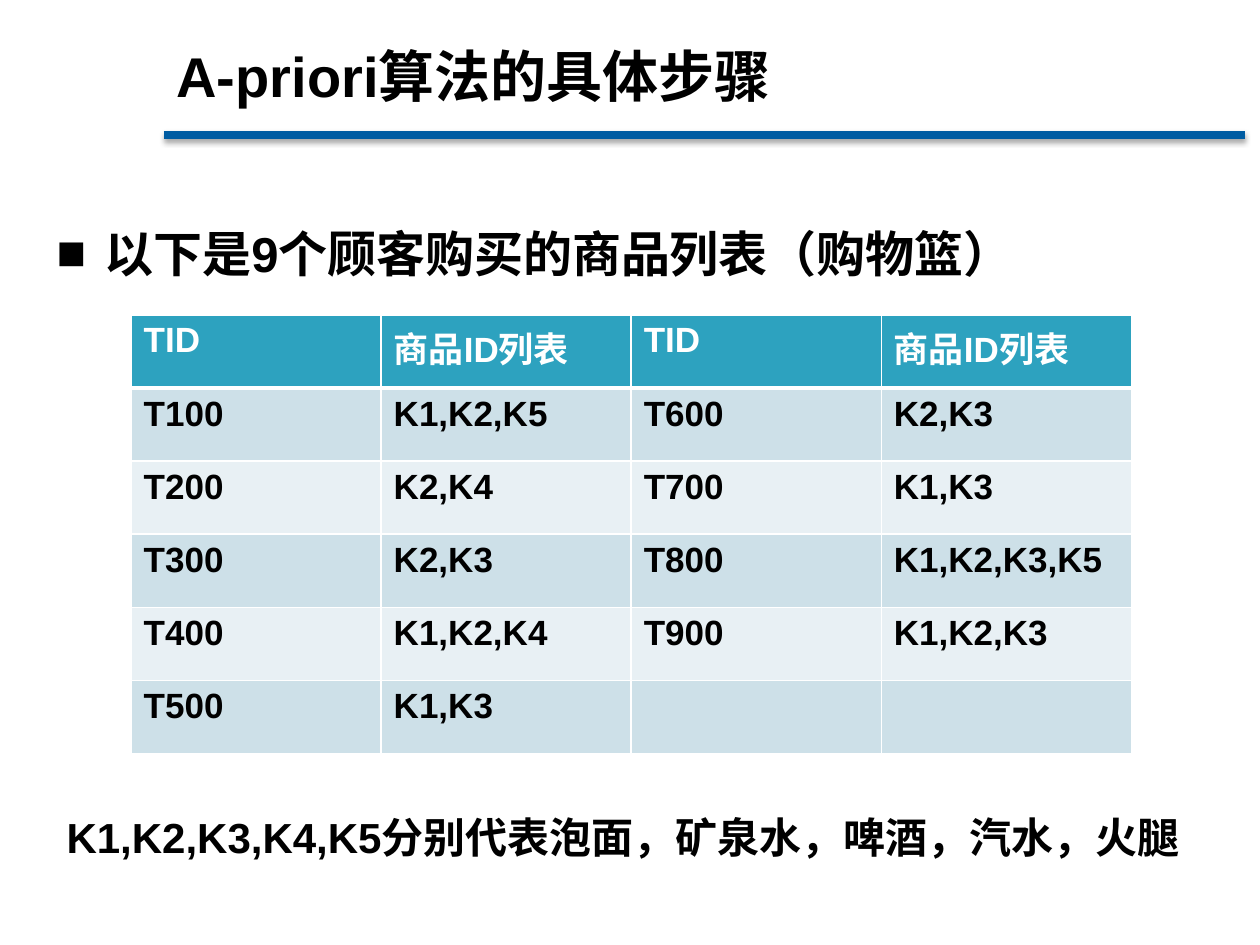
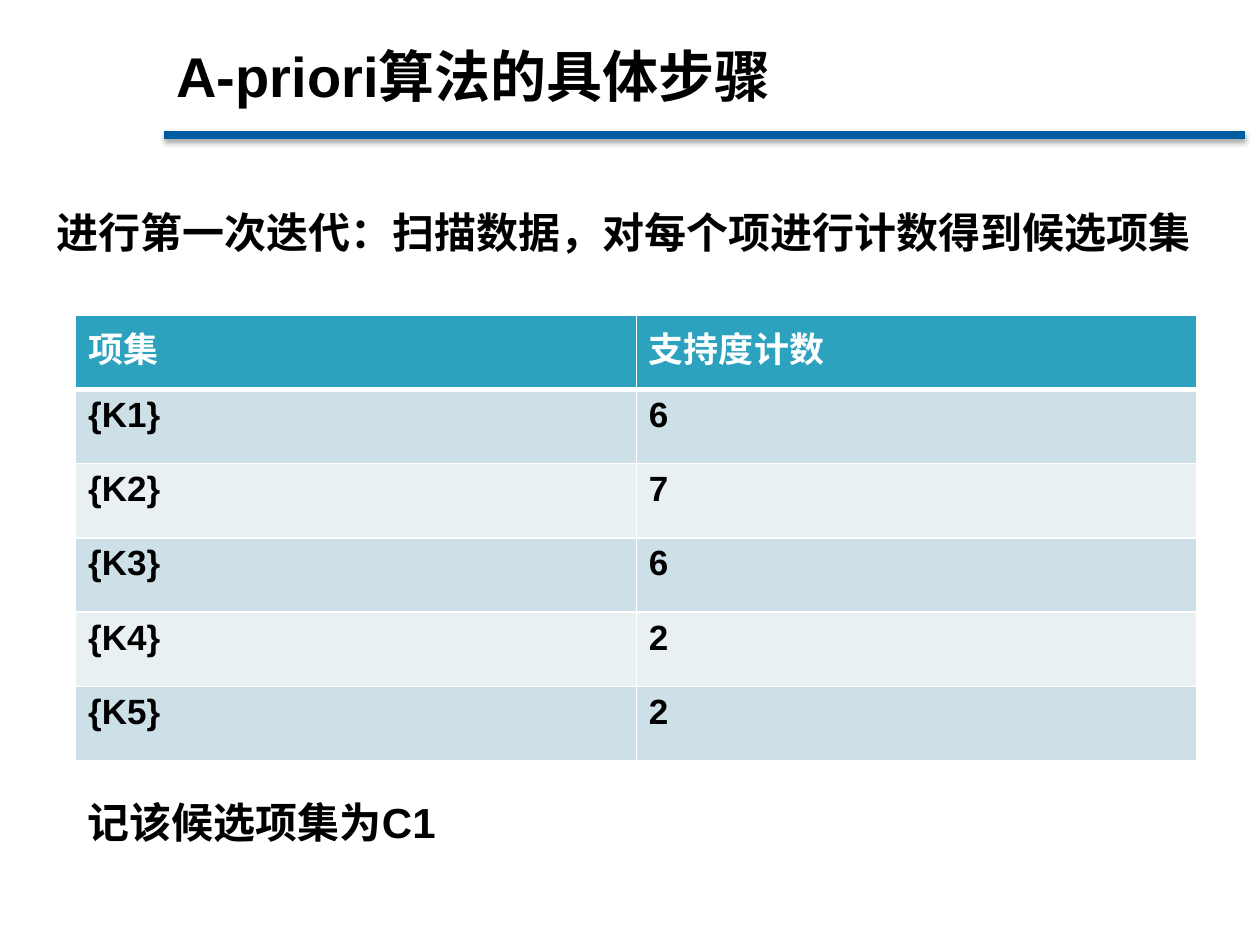
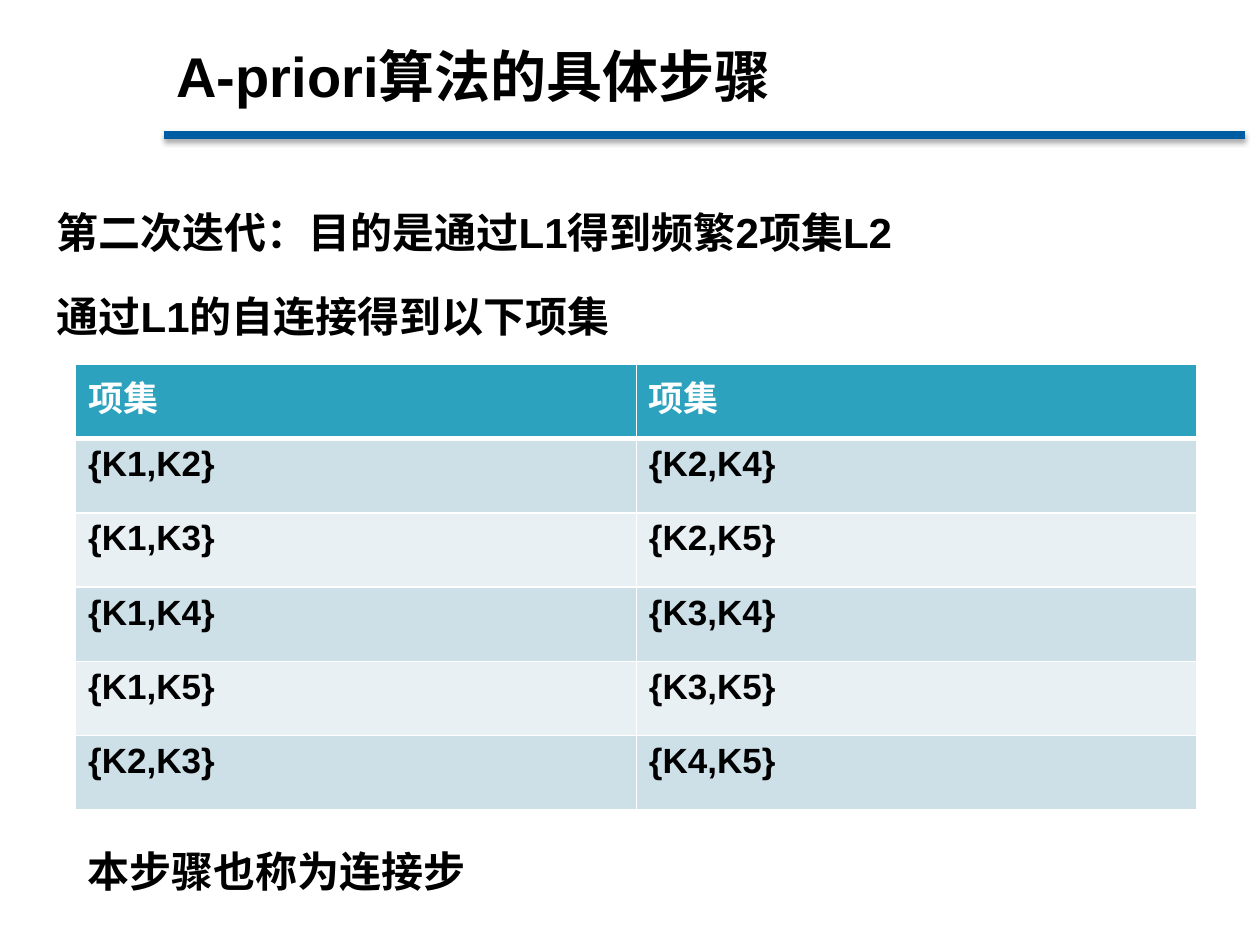
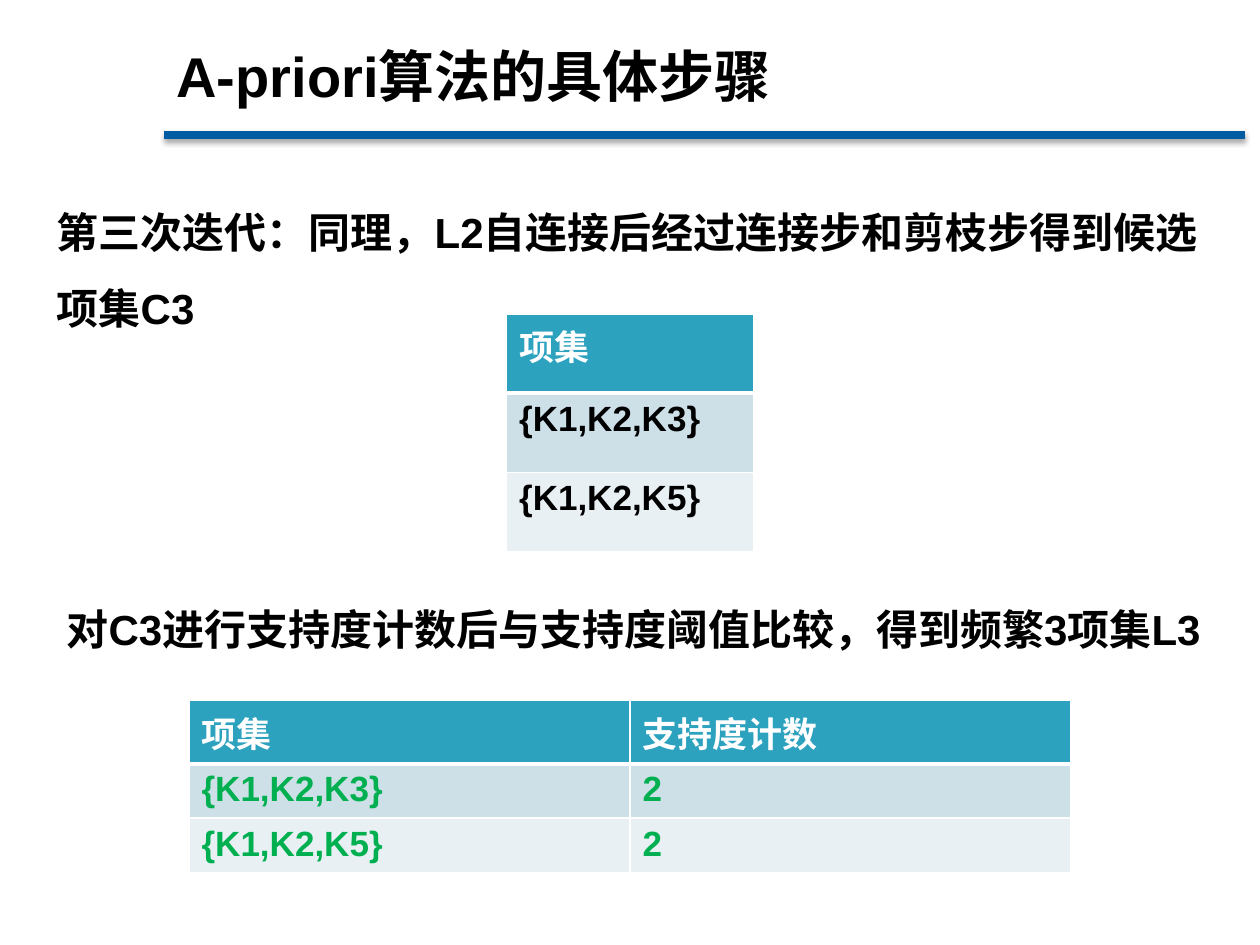
"""Build four slides that walk through the A-priori algorithm with item set tables."""
from dataclasses import dataclass

from lxml.etree import SubElement
from pptx import Presentation
from pptx.dml.color import RGBColor
from pptx.enum.shapes import MSO_CONNECTOR
from pptx.enum.text import MSO_ANCHOR, MSO_AUTO_SIZE, PP_ALIGN
from pptx.oxml import parse_xml
from pptx.oxml.ns import nsdecls, qn
from pptx.util import Inches, Pt


@dataclass(frozen=True)
class Theme:
    font: str = "Arial"
    ink: str = "000000"
    white: str = "FFFFFF"
    rule: str = "005CA2"
    header: str = "2DA2BF"
    odd_row: str = "CDE0E8"
    even_row: str = "E8F0F4"
    frequent: str = "00B050"
    title_size: int = 32
    lead_size: int = 28
    text_size: int = 24
    cell_size: int = 20
    thin: int = 1
    thick: int = 3


THEME = Theme()


def write_text(frame, text, size, color=THEME.ink, spacing=1.0):
    frame.text = text
    frame.word_wrap = True
    for index, paragraph in enumerate(frame.paragraphs):
        paragraph.alignment = PP_ALIGN.LEFT
        paragraph.line_spacing = spacing
        paragraph.space_before = Pt(size * 0.2 if index else 0)
        for run in paragraph.runs:
            run.font.name = THEME.font
            run.font.size = Pt(size)
            run.font.bold = True
            run.font.color.rgb = RGBColor.from_string(color)


def draw_table(slide, left, top, width, row_height, rows, color=THEME.ink):
    columns = len(rows[0])
    table = slide.shapes.add_table(
        len(rows), columns, Inches(left), Inches(top),
        Inches(width), Inches(row_height * len(rows))).table
    for column in table.columns:
        column.width = Inches(width / columns)
    for r, values in enumerate(rows):
        table.rows[r].height = Inches(row_height)
        row_fill = THEME.odd_row if r % 2 else THEME.even_row
        for c, value in enumerate(values):
            cell = table.cell(r, c)
            thick_side = {0: "lnB", 1: "lnT"}.get(r)
            for side in ("lnL", "lnR", "lnT", "lnB"):
                weight = THEME.thick if side == thick_side else THEME.thin
                border = SubElement(cell._tc.get_or_add_tcPr(), qn(f"a:{side}"), w=str(Pt(weight)))
                border_fill = SubElement(border, qn("a:solidFill"))
                SubElement(border_fill, qn("a:srgbClr"), val=THEME.white)
            cell.fill.solid()
            cell.fill.fore_color.rgb = RGBColor.from_string(row_fill if r else THEME.header)
            write_text(cell.text_frame, value, THEME.cell_size, color if r else THEME.white)


baskets = [
    ("TID", "商品ID列表", "TID", "商品ID列表"),
    ("T100", "K1,K2,K5", "T600", "K2,K3"),
    ("T200", "K2,K4", "T700", "K1,K3"),
    ("T300", "K2,K3", "T800", "K1,K2,K3,K5"),
    ("T400", "K1,K2,K4", "T900", "K1,K2,K3"),
    ("T500", "K1,K3", "", ""),
]
item_counts = [("项集", "支持度计数"), ("{K1}", "6"), ("{K2}", "7"),
               ("{K3}", "6"), ("{K4}", "2"), ("{K5}", "2")]
joined_pairs = [("项集", "项集"), ("{K1,K2}", "{K2,K4}"), ("{K1,K3}", "{K2,K5}"),
                ("{K1,K4}", "{K3,K4}"), ("{K1,K5}", "{K3,K5}"), ("{K2,K3}", "{K4,K5}")]
candidates = [("项集",), ("{K1,K2,K3}",), ("{K1,K2,K5}",)]
frequent_triples = [("项集", "支持度计数"), ("{K1,K2,K3}", "2"), ("{K1,K2,K5}", "2")]

steps = [
    {"lead": "以下是9个顾客购买的商品列表（购物篮）",
     "lead_box": (0.35, 1.49, 8.83, 0.85), "bullet": True,
     "tables": [(1.04, 2.5, 7.94, 0.58, baskets)],
     "remark": "K1,K2,K3,K4,K5分别代表泡面，矿泉水，啤酒，汽水，火腿",
     "remark_box": (0.43, 6.19, 9.1, 0.88), "remark_spacing": 1.5},
    {"lead": "进行第一次迭代：扫描数据，对每个项进行计数得到候选项集",
     "lead_box": (0.35, 1.39, 9.45, 0.88), "bullet": False,
     "tables": [(0.6, 2.5, 8.9, 0.59, item_counts)],
     "remark": "记该候选项集为C1",
     "remark_box": (0.6, 6.27, 7.44, 0.5), "remark_spacing": 1.0},
    {"lead": "第二次迭代：目的是通过L1得到频繁2项集L2\n通过L1的自连接得到以下项集",
     "lead_box": (0.35, 1.39, 9.45, 0.88), "bullet": False,
     "tables": [(0.6, 2.89, 8.9, 0.59, joined_pairs)],
     "remark": "本步骤也称为连接步",
     "remark_box": (0.6, 6.66, 7.76, 0.5), "remark_spacing": 1.0},
    {"lead": "第三次迭代：同理，L2自连接后经过连接步和剪枝步得到候选项集C3",
     "lead_box": (0.35, 1.39, 9.45, 1.35), "bullet": False,
     "tables": [(4.02, 2.49, 1.96, 0.63, candidates),
                (1.5, 5.56, 7, 0.43, frequent_triples, THEME.frequent)],
     "remark": "对C3进行支持度计数后与支持度阈值比较，得到频繁3项集L3",
     "remark_box": (0.43, 4.54, 9.37, 0.71), "remark_spacing": 1.5},
]

deck = Presentation()
deck.slide_width, deck.slide_height = Inches(10), Inches(7.5)
layout = deck.slide_layouts[1]

for step in steps:
    slide = deck.slides.add_slide(layout)

    heading = slide.shapes.title
    heading.left, heading.top, heading.width, heading.height = map(Inches, (1.3, 0.13, 8.64, 0.94))
    write_text(heading.text_frame, "A-priori算法的具体步骤", THEME.title_size)
    heading.text_frame.vertical_anchor = MSO_ANCHOR.MIDDLE
    heading.text_frame.auto_size = MSO_AUTO_SIZE.NONE

    lead = slide.placeholders[1]
    lead.left, lead.top, lead.width, lead.height = map(Inches, step["lead_box"])
    lead_size = THEME.lead_size if step["bullet"] else THEME.text_size
    write_text(lead.text_frame, step["lead"], lead_size, spacing=1.5)
    lead.text_frame.vertical_anchor = MSO_ANCHOR.TOP
    lead.text_frame.auto_size = MSO_AUTO_SIZE.NONE
    hanging = Inches(0.38) if step["bullet"] else 0
    for paragraph in lead.text_frame.paragraphs:
        properties = paragraph._p.get_or_add_pPr()
        properties.set("marL", str(hanging))
        properties.set("indent", str(-hanging))
        if step["bullet"]:
            SubElement(properties, qn("a:buFont"), typeface=THEME.font)
            SubElement(properties, qn("a:buChar"), char="■")
        else:
            SubElement(properties, qn("a:buNone"))

    for table_parts in step["tables"]:
        draw_table(slide, *table_parts)

    remark = slide.shapes.add_textbox(*map(Inches, step["remark_box"]))
    write_text(remark.text_frame, step["remark"], THEME.text_size, spacing=step["remark_spacing"])

title_rule = deck.slides[0].shapes.add_connector(
    MSO_CONNECTOR.STRAIGHT, Inches(1.3), Inches(1.07), Inches(9.88), Inches(1.07))
title_rule.line.color.rgb = RGBColor.from_string(THEME.rule)
title_rule.line.width = Pt(4.5)
title_rule._element.spPr.append(parse_xml(
    f'<a:effectLst {nsdecls("a")}><a:outerShdw blurRad="{Pt(3.1)}" dist="{Pt(1.8)}" '
    f'dir="5400000" rotWithShape="0"><a:srgbClr val="{THEME.ink}"><a:alpha val="35000"/>'
    '</a:srgbClr></a:outerShdw></a:effectLst>'))
title_rule._element.nvCxnSpPr.cNvPr.id = 20
layout.shapes._spTree.append(title_rule._element)

deck.save("out.pptx")
